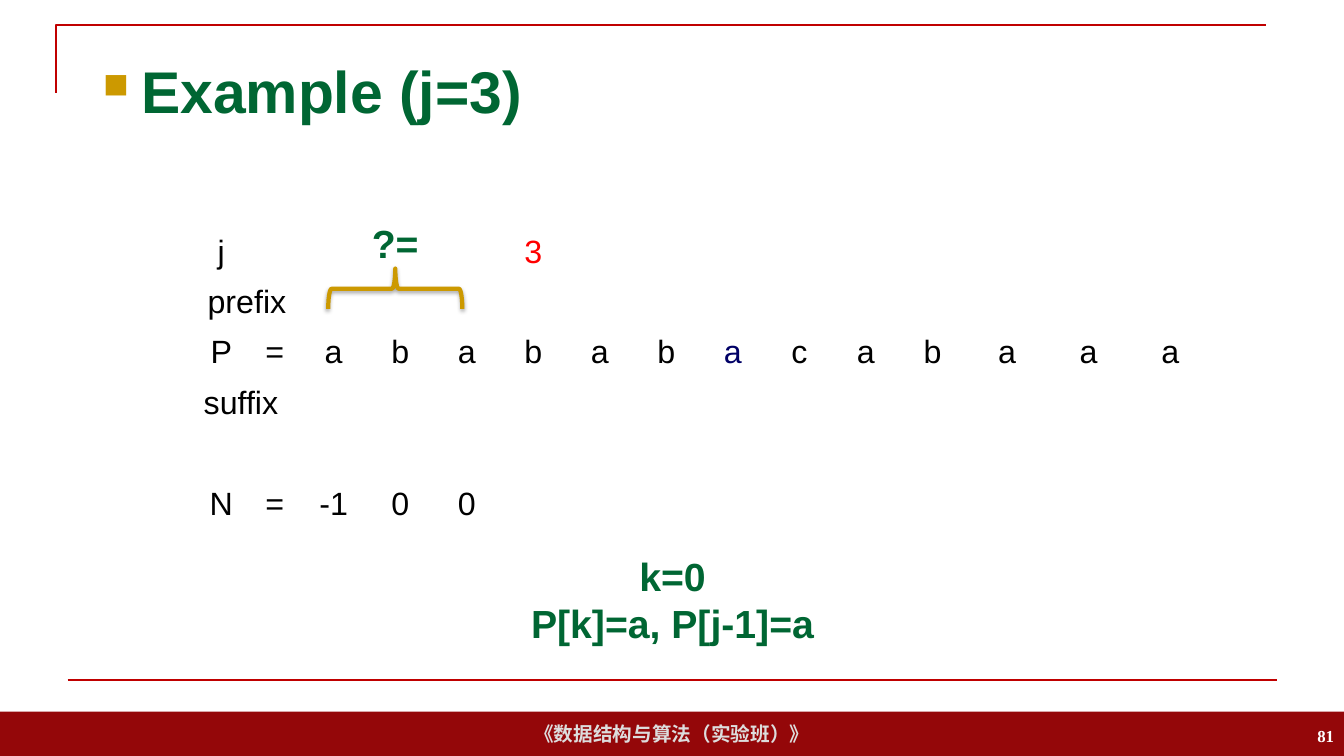
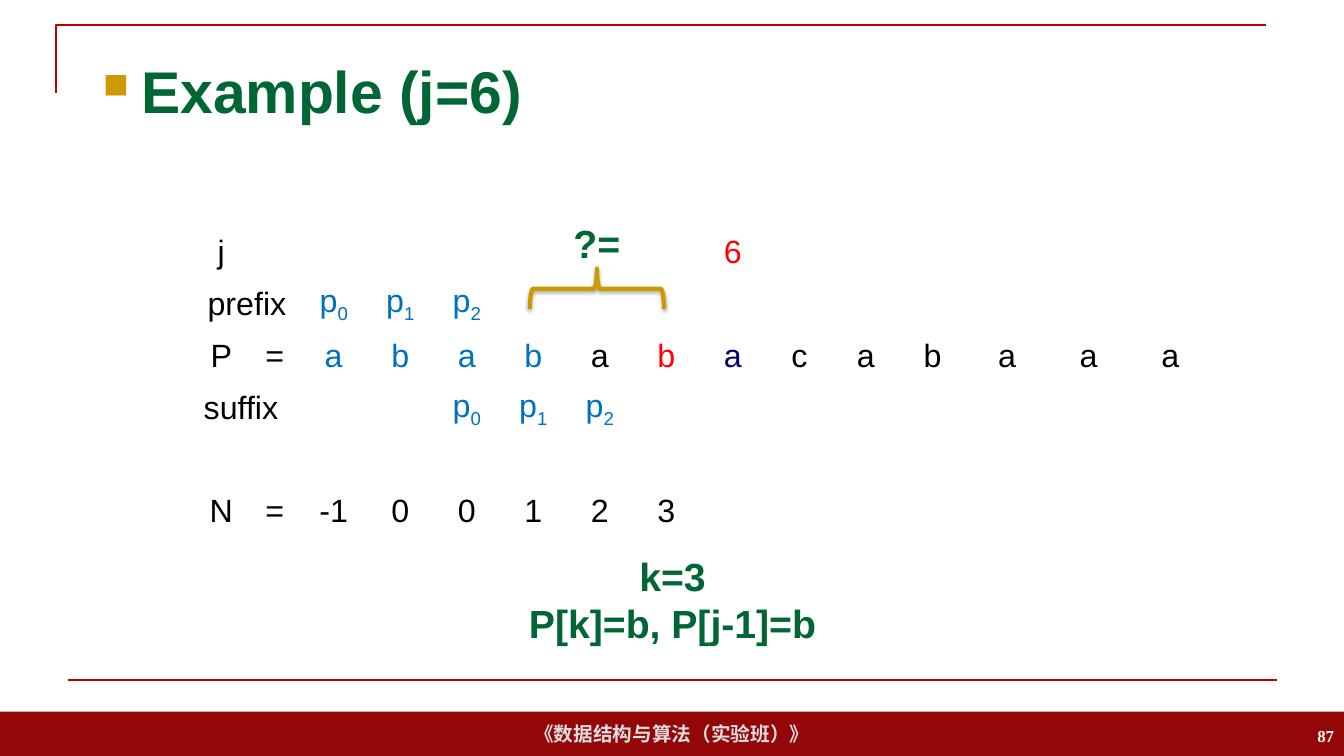
import dataclasses

import lxml.etree
import pptx
import pptx.dml.color
import pptx.enum.shapes
import pptx.enum.text
import pptx.oxml.ns
import pptx.util

Inches = pptx.util.Inches
Pt = pptx.util.Pt
Align = pptx.enum.text.PP_ALIGN
Anchor = pptx.enum.text.MSO_ANCHOR
Shape = pptx.enum.shapes.MSO_SHAPE
qn = pptx.oxml.ns.qn


@dataclasses.dataclass(frozen=True)
class Theme:
    font: str = "Arial"
    number_font: str = "Times New Roman"
    green: str = "006633"
    gold: str = "CC9900"
    rule: str = "C00000"
    band: str = "940709"
    footer: str = "DDDDDD"
    white: str = "FFFFFF"
    black: str = "000000"
    red: str = "FF0000"
    blue: str = "0070C0"
    navy: str = "000066"
    title_size: int = 42
    note_size: int = 28
    table_size: int = 23
    footer_size: int = 14
    number_size: int = 12


THEME = Theme()
PATTERN = "ababababacabaaa"[4:8] + "abacabaaa"[0:0] + "abacabaaa"
COLUMNS = [0.55, 0.51] + [0.66] * 10 + [0.82, 0.8, 0.82]
ROW_HEIGHT = 0.5
J_ROW, PREFIX_ROW, P_ROW, SUFFIX_ROW, GAP_ROW, N_ROW = range(6)
FIRST_VALUE = 2


def colour(value):
    return pptx.dml.color.RGBColor.from_string(value)


class Deck:
    def __init__(self, theme):
        self.theme = theme
        self.deck = pptx.Presentation()
        self.deck.slide_width = Inches(13.33)
        self.deck.slide_height = Inches(7.5)
        self.page = None

    def new_page(self, title, number):
        self.page = self.deck.slides.add_slide(self.deck.slide_layouts[5])
        self.band("《数据结构与算法（实验班）》")
        self.corner()
        self.rule(0.67, 12.67, 6.75)
        self.title(title)
        self.text([str(number)], (10.33, 7.1, 3, 0.4), self.theme.number_size,
                  self.theme.white, Align.RIGHT, Anchor.MIDDLE, self.theme.number_font)

    def span(self, para, text, size, tint, bold=False, font=None, subscript=False):
        span = para.add_run()
        span.text = text
        span.font.name = font or self.theme.font
        span.font.size = Pt(size)
        span.font.bold = bold
        span.font.color.rgb = colour(tint)
        if subscript:
            span._r.get_or_add_rPr().set("baseline", "-25000")

    def band(self, text):
        box = self.page.shapes.add_shape(
            Shape.RECTANGLE, 0, Inches(7.06), self.deck.slide_width, Inches(0.44))
        box.shadow.inherit = False
        box.fill.solid()
        box.fill.fore_color.rgb = colour(self.theme.band)
        box.line.fill.background()
        frame = box.text_frame
        frame.word_wrap = False
        frame.vertical_anchor = Anchor.MIDDLE
        para = frame.paragraphs[0]
        para.alignment = Align.CENTER
        self.span(para, text, self.theme.footer_size, self.theme.footer, True)

    def corner(self):
        builder = self.page.shapes.build_freeform(Inches(0.56), Inches(0.92))
        builder.add_line_segments(
            [(Inches(0.56), Inches(0.25)), (Inches(12.56), Inches(0.25))], close=False)
        corner = builder.convert_to_shape()
        corner.shadow.inherit = False
        corner.fill.background()
        self.outline(corner, self.theme.rule, 1.5)

    def outline(self, shape, tint, width):
        shape.line.color.rgb = colour(tint)
        shape.line.width = Pt(width)

    def rule(self, left, right, top):
        line = self.page.shapes.add_connector(
            pptx.enum.shapes.MSO_CONNECTOR.STRAIGHT,
            Inches(left), Inches(top), Inches(right), Inches(top))
        self.outline(line, self.theme.rule, 1.5)
        lxml.etree.SubElement(line._element.spPr, qn("a:effectLst"))

    def title(self, text):
        box = self.page.shapes.title
        box.left, box.top, box.width, box.height = map(Inches, (0.92, 0.4, 11.5, 0.99))
        box.text_frame.vertical_anchor = Anchor.MIDDLE
        para = box.text_frame.paragraphs[0]
        para.alignment = Align.LEFT
        props = para._p.get_or_add_pPr()
        props.set("marL", str(Inches(0.38)))
        props.set("indent", str(Inches(-0.38)))
        tint = lxml.etree.SubElement(props, qn("a:buClr"))
        lxml.etree.SubElement(tint, qn("a:srgbClr"), val=self.theme.gold)
        lxml.etree.SubElement(props, qn("a:buSzPct"), val="60000")
        lxml.etree.SubElement(props, qn("a:buFont"), typeface="Wingdings")
        lxml.etree.SubElement(props, qn("a:buChar"), char="n")
        self.span(para, text, self.theme.title_size, self.theme.green, True)

    def text(self, lines, place, size, tint, align=Align.CENTER, anchor=Anchor.TOP, font=None):
        box = self.page.shapes.add_textbox(*map(Inches, place))
        frame = box.text_frame
        frame.word_wrap = True
        frame.vertical_anchor = anchor
        for index, line in enumerate(lines):
            para = frame.add_paragraph() if index else frame.paragraphs[0]
            para.alignment = align
            self.span(para, line, size, tint, True, font)

    def table(self):
        frame = self.page.shapes.add_table(
            N_ROW + 1, len(COLUMNS), Inches(1.92), Inches(2.25),
            Inches(sum(COLUMNS)), Inches(ROW_HEIGHT * (N_ROW + 1)))
        table = frame.table
        table.first_row = table.horz_banding = False
        for column, width in zip(table.columns, COLUMNS):
            column.width = Inches(width)
        for row in table.rows:
            row.height = Inches(ROW_HEIGHT)
        for cell in table.iter_cells():
            cell.fill.background()
            cell.vertical_anchor = Anchor.MIDDLE
        table.cell(PREFIX_ROW, 0).merge(table.cell(PREFIX_ROW, 1))
        table.cell(SUFFIX_ROW, 0).merge(table.cell(SUFFIX_ROW, 2))
        return table

    def cell(self, table, row, column, text, tint=None, subscript="", align=Align.CENTER):
        para = table.cell(row, column).text_frame.paragraphs[0]
        para.alignment = align
        tint = tint or self.theme.black
        self.span(para, text, self.theme.table_size, tint)
        if subscript:
            self.span(para, subscript, self.theme.table_size, tint, subscript=True)

    def brace(self, left):
        brace = self.page.shapes.add_shape(
            Shape.LEFT_BRACE, Inches(left), Inches(2.2), Inches(0.4), Inches(1.33))
        brace.rotation = 90
        brace.fill.background()
        self.outline(brace, self.theme.gold, 3)
        brace.shadow.inherit = False
        effects = brace._element.spPr.find(qn("a:effectLst"))
        shadow = lxml.etree.SubElement(
            effects, qn("a:outerShdw"), blurRad=str(Pt(3.1)), dist=str(Pt(1.8)),
            dir="5400000", rotWithShape="0")
        tint = lxml.etree.SubElement(shadow, qn("a:srgbClr"), val=self.theme.black)
        lxml.etree.SubElement(tint, qn("a:alpha"), val="35000")

    def example(self, number, j, k, letter, next_values, brace_left, matched=0,
                pattern_colours=None):
        theme = self.theme
        self.new_page(f"Example (j={j})", number)
        self.text([f"k={k}", f"P[k]={letter}, P[j-1]={letter}"],
                  (2.88, 5.43, 7.58, 1.04), theme.note_size, theme.green)
        table = self.table()
        self.cell(table, J_ROW, 0, "j")
        self.cell(table, J_ROW, FIRST_VALUE + j, str(j), theme.red)
        self.cell(table, PREFIX_ROW, 0, "prefix")
        self.cell(table, SUFFIX_ROW, 0, "suffix", align=Align.LEFT)
        tints = {6: theme.navy, **(pattern_colours or {})}
        for row, name, values in ((P_ROW, "P", PATTERN), (N_ROW, "N", next_values)):
            self.cell(table, row, 0, name)
            self.cell(table, row, 1, "=")
            for index, value in enumerate(values):
                tint = tints.get(index) if row == P_ROW else None
                self.cell(table, row, FIRST_VALUE + index, str(value), tint)
        for row, start in ((PREFIX_ROW, 0), (SUFFIX_ROW, j - 1 - matched)):
            for index in range(matched):
                self.cell(table, row, FIRST_VALUE + start + index, "p", theme.blue, str(index))
        self.brace(brace_left)
        self.text(["?="], (brace_left - 0.22, 2.13, 0.84, 0.57), theme.note_size, theme.green)


def main():
    show = Deck(THEME)
    show.example(81, 3, 0, "a", [-1, 0, 0], 3.72)
    show.example(87, 6, 3, "b", [-1, 0, 0, 1, 2, 3], 5.72, matched=3,
                 pattern_colours={**dict.fromkeys(range(4), THEME.blue), 5: THEME.red})
    show.deck.save("out.pptx")


if __name__ == "__main__":
    main()
